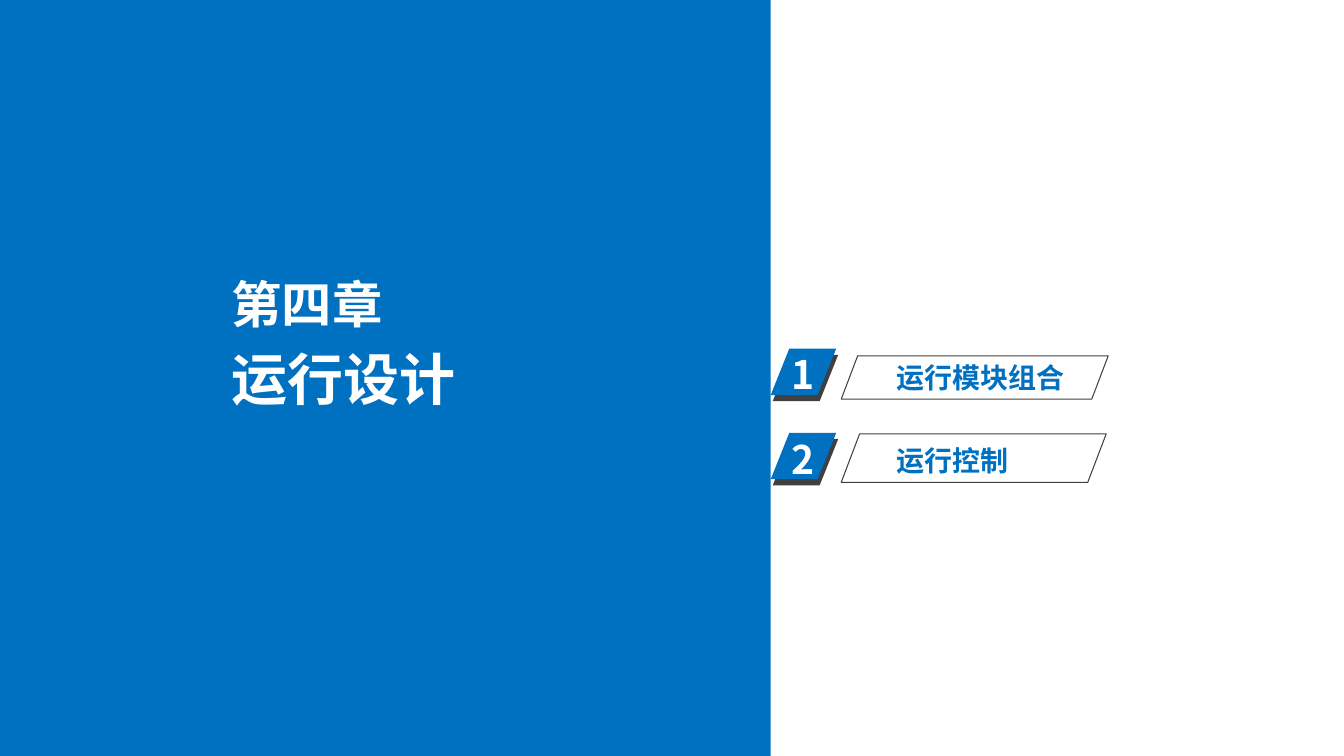
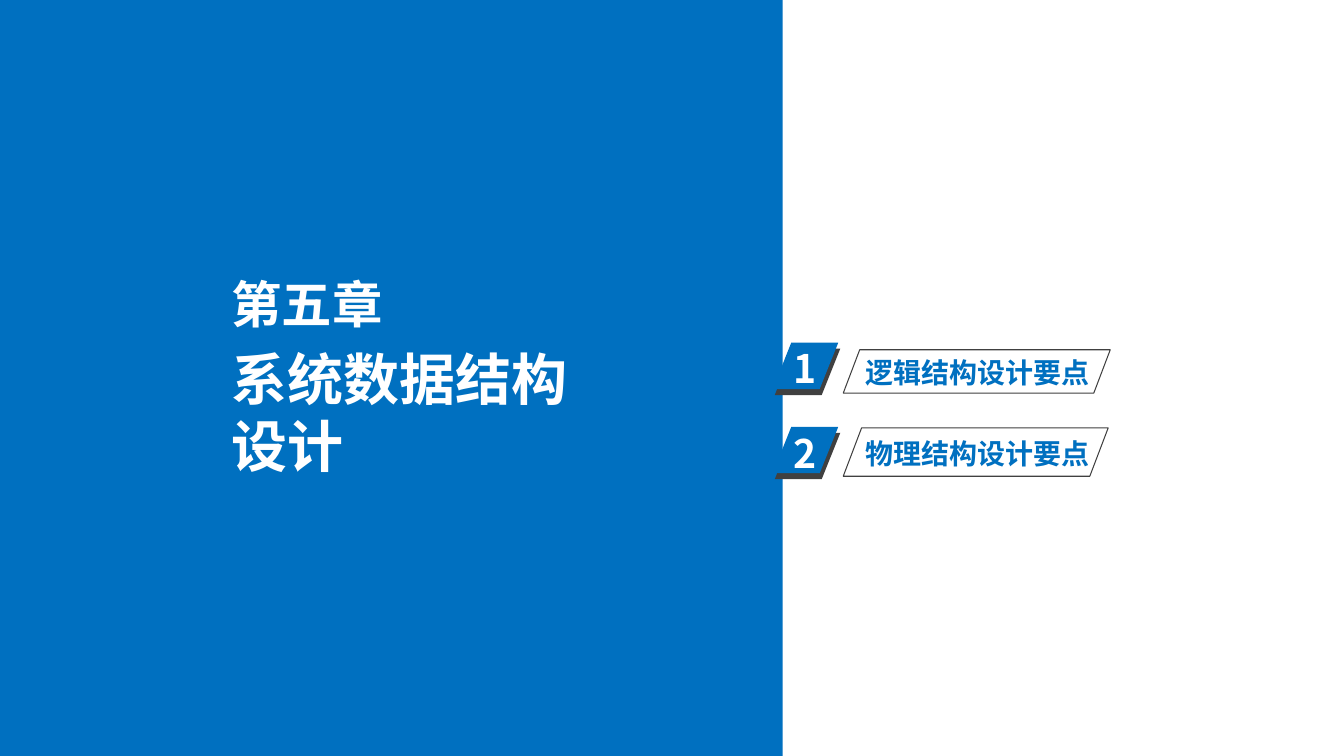
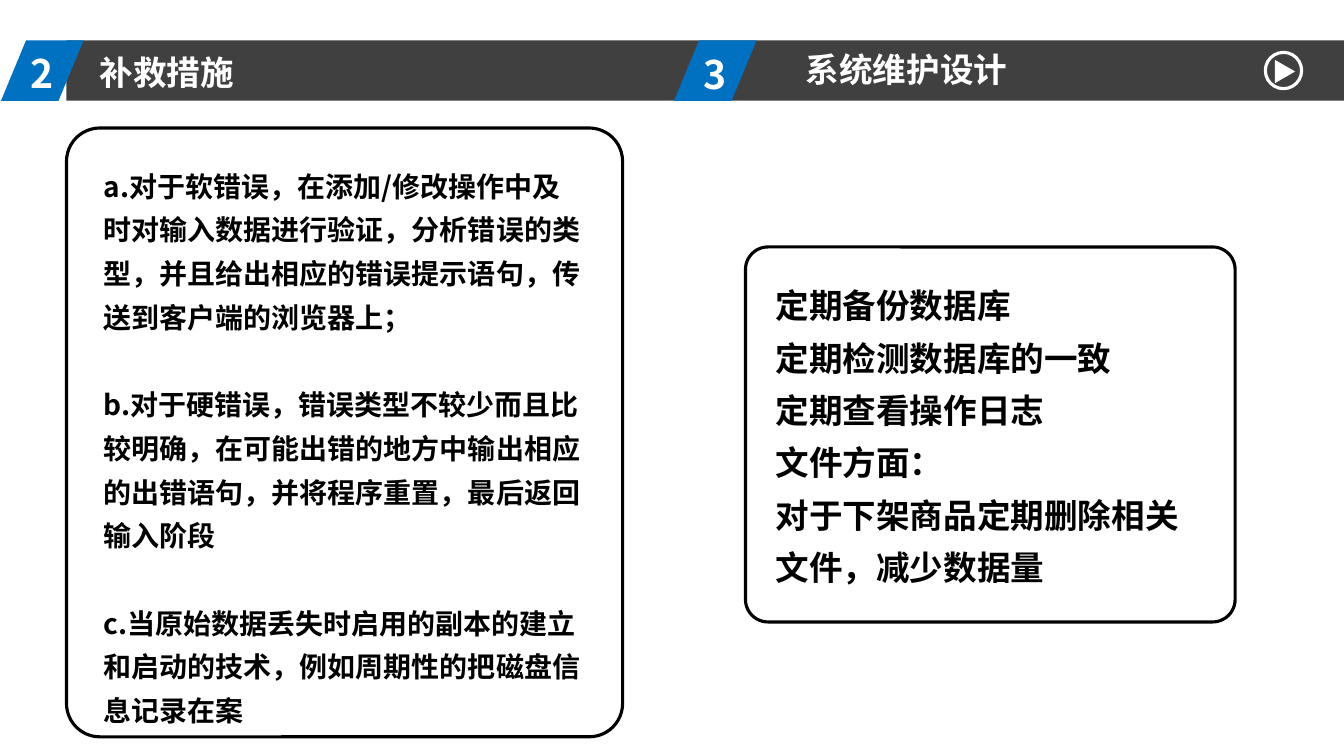
from dataclasses import dataclass

from lxml.etree import SubElement
from pptx import Presentation
from pptx.dml.color import RGBColor
from pptx.enum.shapes import MSO_SHAPE
from pptx.enum.text import MSO_ANCHOR, MSO_AUTO_SIZE, PP_ALIGN
from pptx.oxml.ns import qn
from pptx.util import Inches, Pt


@dataclass(frozen=True)
class Theme:
    blue: RGBColor = RGBColor(0x00, 0x70, 0xC0)
    dark: RGBColor = RGBColor(0x40, 0x40, 0x40)
    white: RGBColor = RGBColor(0xFF, 0xFF, 0xFF)
    black: RGBColor = RGBColor(0x00, 0x00, 0x00)
    heading_font: str = "Noto Sans CJK SC"
    body_font: str = "Noto Sans CJK JP"
    title_size: int = 40
    chapter_size: int = 36
    number_size: int = 28
    heading_size: int = 24
    body_size: int = 20
    thin_line: float = 0.75
    thick_line: float = 2.25


theme = Theme()
SLIDE_WIDTH, SLIDE_HEIGHT = 13.34, 7.5
BADGE_SLANT, FRAME_SLANT, BAND_BADGE_SLANT = 0.4, 0.38, 0.415


def add_block(slide, kind, box, fill=None, line=None, line_width=theme.thin_line, adjust=None):
    shape = slide.shapes.add_shape(kind, *map(Inches, box))
    shape.shadow.inherit = False
    if fill is None:
        shape.fill.background()
    else:
        shape.fill.solid()
        shape.fill.fore_color.rgb = fill
    if line is None:
        shape.line.fill.background()
    else:
        shape.line.color.rgb = line
        shape.line.width = Pt(line_width)
    if adjust is not None:
        shape.adjustments[0] = adjust
    return shape


def add_text(slide, box, lines, size, color=theme.white, font=theme.heading_font,
             line_spacing=None, gap=0, is_title=False):
    """Write lines as paragraphs in a text box, or in the title raised to the front."""
    if is_title:
        shape = slide.shapes.title
        slide.shapes._spTree.append(shape._element)
        shape.left, shape.top, shape.width, shape.height = map(Inches, box)
    else:
        shape = slide.shapes.add_textbox(*map(Inches, box))
    frame = shape.text_frame
    frame.word_wrap = True
    frame.auto_size = MSO_AUTO_SIZE.NONE
    frame.vertical_anchor = MSO_ANCHOR.TOP
    frame.text = "\n".join(lines)
    for index, paragraph in enumerate(frame.paragraphs):
        paragraph.alignment = PP_ALIGN.LEFT
        if line_spacing:
            paragraph.line_spacing = line_spacing
        if index and gap:
            paragraph.space_before = Pt(gap)
        paragraph.font.size = Pt(size)
        paragraph.font.bold = True
        paragraph.font.color.rgb = color
        paragraph.font.name = font
        properties = paragraph._p.pPr.find(qn("a:defRPr"))
        SubElement(properties, qn("a:ea"), typeface=font)


presentation = Presentation()
presentation.slide_width = Inches(SLIDE_WIDTH)
presentation.slide_height = Inches(SLIDE_HEIGHT)
title_only = presentation.slide_layouts[5]

# Chapter slides: chapter, title, panel width, badge left and top, label left, items with label tops
chapters = [
    ("第四章", "运行设计", 7.65, 7.65, 3.46, 8.8,
     [("运行模块组合", 3.53), ("运行控制", 4.35)]),
    ("第五章", "系统数据结构设计", 7.77, 7.67, 3.4, 8.49,
     [("逻辑结构设计要点", 3.48), ("物理结构设计要点", 4.28)]),
]
badge_pitch = 0.835
frame_sizes = [(0.07, 2.65, 0.43), (0.01, 2.63, 0.48)]  # drop below badge top, width, height

for chapter, title, panel_width, badge_left, first_top, label_left, items in chapters:
    slide = presentation.slides.add_slide(title_only)
    add_block(slide, MSO_SHAPE.RECTANGLE, (0, 0, panel_width, SLIDE_HEIGHT), theme.blue)
    add_text(slide, (2.2, 2.66, 1.81, 0.7), [chapter], theme.chapter_size)
    add_text(slide, (2.2, 3.37, 3.77, 1.44), [title], theme.title_size, is_title=True)

    for index, (label, label_top) in enumerate(items):
        top = first_top + index * badge_pitch
        for offset_x, offset_y, color in [(0.02, 0.06, theme.dark), (0, 0, theme.blue)]:
            add_block(slide, MSO_SHAPE.PARALLELOGRAM,
                      (badge_left + offset_x, top + offset_y, 0.65, 0.46),
                      color, adjust=BADGE_SLANT)
        add_text(slide, (badge_left + 0.11, top - 0.03, 0.69, 0.57),
                 [str(index + 1)], theme.number_size)
        drop, width, height = frame_sizes[index]
        add_block(slide, MSO_SHAPE.PARALLELOGRAM, (badge_left + 0.7, top + drop, width, height),
                  line=theme.dark, adjust=FRAME_SLANT)
        add_text(slide, (label_left, label_top, 3.03, 0.44), [label],
                 theme.body_size, theme.blue)

# Remedies and maintenance
slide = presentation.slides.add_slide(title_only)
add_block(slide, MSO_SHAPE.RECTANGLE, (0.66, 0.4, SLIDE_WIDTH - 0.66, 0.6), theme.dark)

sections = [
    ("2", 0.01, 0.44, "补救措施", 0.89, 0.46, True),
    ("3", 6.69, 0.45, "系统维护设计", 7.9, 0.44, False),
]
for number, badge_left, number_top, heading, heading_left, heading_top, is_title in sections:
    add_block(slide, MSO_SHAPE.PARALLELOGRAM, (badge_left, 0.4, 0.82, 0.6),
              theme.blue, adjust=BAND_BADGE_SLANT)
    add_text(slide, (badge_left + 0.19, number_top, 0.69, 0.57), [number], theme.number_size)
    add_text(slide, (heading_left, heading_top, 2.74, 0.5), [heading],
             theme.heading_size, is_title=is_title)

add_block(slide, MSO_SHAPE.OVAL, (12.56, 0.52, 0.36, 0.36),
          line=theme.white, line_width=theme.thick_line)
play_arrow = add_block(slide, MSO_SHAPE.ISOSCELES_TRIANGLE, (12.64, 0.61, 0.23, 0.2), theme.white)
play_arrow.rotation = 90

remedies = [
    "a.对于软错误，在添加/修改操作中及时对输入数据进行验证，分析错误的类型，并且给出相应的错误提示语句，传送到客户端的浏览器上；",
    "b.对于硬错误，错误类型不较少而且比较明确，在可能出错的地方中输出相应的出错语句，并将程序重置，最后返回输入阶段",
    "c.当原始数据丢失时启用的副本的建立和启动的技术，例如周期性的把磁盘信息记录在案",
]
maintenance = [
    "定期备份数据库",
    "定期检测数据库的一致",
    "定期查看操作日志",
    "文件方面：",
    "对于下架商品定期删除相关文件，减少数据量",
]
cards = [
    ((0.66, 1.27, 5.52, 6.04), (0.93, 1.53, 4.95, 5.74), remedies, theme.body_size, 31.2),
    ((7.4, 2.45, 4.86, 3.72), (7.6, 2.66, 4.45, 3.2), maintenance, theme.heading_size, 0),
]
for card_box, text_box, lines, size, gap in cards:
    add_block(slide, MSO_SHAPE.ROUNDED_RECTANGLE, card_box, line=theme.black,
              line_width=theme.thick_line, adjust=0.06)
    add_text(slide, text_box, lines, size, theme.black, theme.body_font,
             line_spacing=1.3, gap=gap)

presentation.save("out.pptx")
